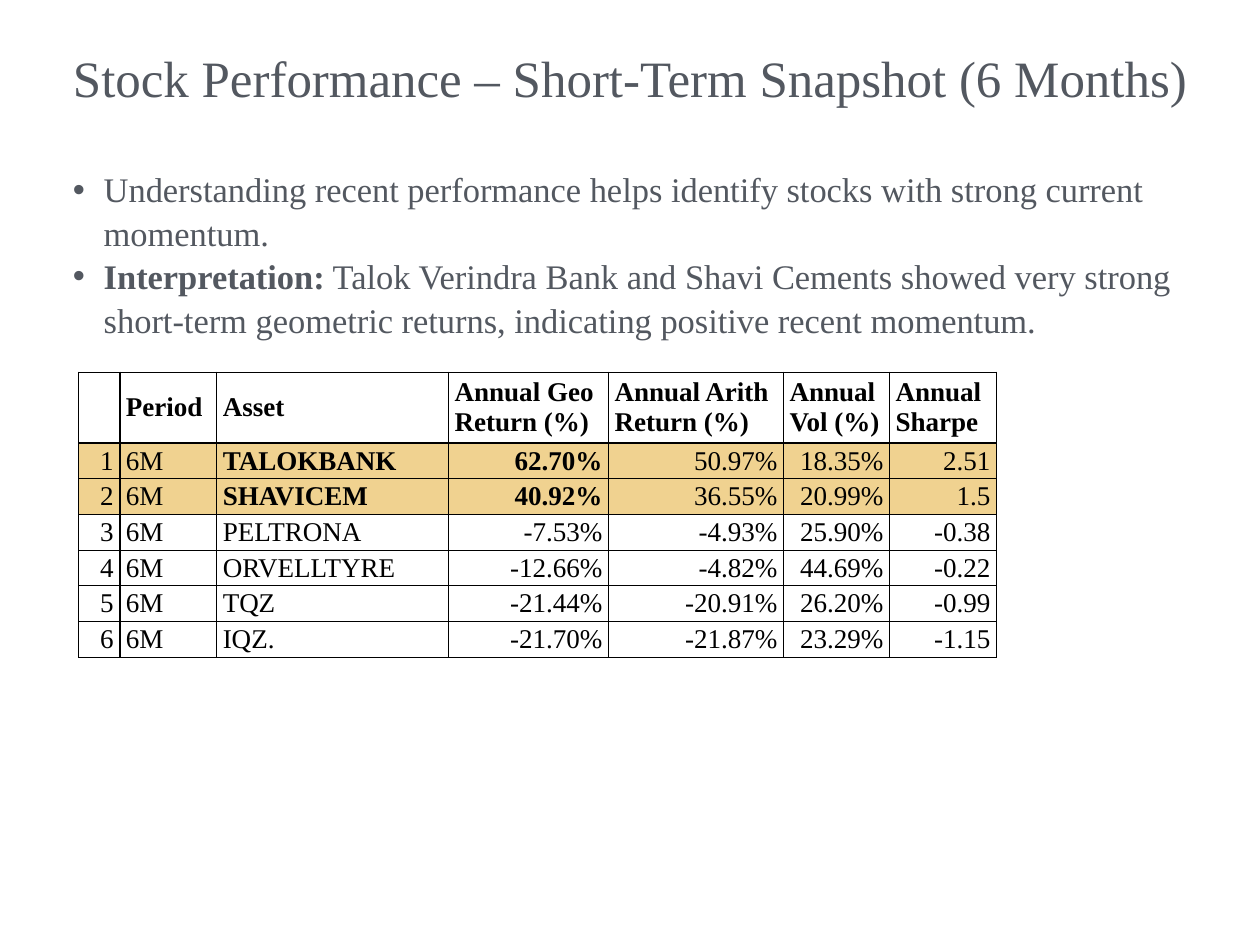
from lxml.etree import SubElement
from pptx import Presentation
from pptx.dml.color import RGBColor
from pptx.enum.text import MSO_ANCHOR, PP_ALIGN
from pptx.oxml.ns import qn
from pptx.util import Pt

INK, BLACK, WHITE, GOLD = "535860", "000000", "FFFFFF", "F0D290"
TITLE = "Stock Performance – Short-Term Snapshot (6 Months)"
POINTS = [
    [("Understanding recent performance helps identify stocks with strong "
      "current momentum.", False)],
    [("Interpretation:", True),
     (" Talok Verindra Bank and Shavi Cements showed very strong short-term "
      "geometric returns, indicating positive recent momentum.", False)],
]
HEADINGS = ["", "Period", "Asset", "Annual Geo Return (%)",
            "Annual Arith Return (%)", "Annual Vol (%)", "Annual Sharpe"]
RETURNS = [
    ("TALOKBANK", "62.70%", "50.97%", "18.35%", "2.51"),
    ("SHAVICEM", "40.92%", "36.55%", "20.99%", "1.5"),
    ("PELTRONA", "-7.53%", "-4.93%", "25.90%", "-0.38"),
    ("ORVELLTYRE", "-12.66%", "-4.82%", "44.69%", "-0.22"),
    ("TQZ", "-21.44%", "-20.91%", "26.20%", "-0.99"),
    ("IQZ.", "-21.70%", "-21.87%", "23.29%", "-1.15"),
]
COLUMN_WIDTHS = [33.3, 78.8, 188.5, 130, 142.2, 86.2, 87]
ROW_HEIGHTS = [57.6] + [29] * len(RETURNS)
LEADERS = 2  # highlighted rows below the header


def color(value):
    return RGBColor.from_string(value)


def add_text(paragraph, text, size=28, ink=INK, bold=False,
             font="Times New Roman"):
    run = paragraph.add_run()
    run.text = text
    run.font.name = font
    run.font.size = Pt(size)
    run.font.bold = bold
    run.font.color.rgb = color(ink)


class SlideBuilder:
    inset = 4.3
    line_spacing = 1.05
    bullet_indent = 25

    def __init__(self, slide):
        self.slide = slide

    def text_box(self, left, top, width, height):
        frame = self.slide.shapes.add_textbox(
            Pt(left), Pt(top), Pt(width), Pt(height)).text_frame
        frame.word_wrap = True
        frame.margin_left = frame.margin_top = Pt(self.inset)
        frame.margin_right = frame.margin_bottom = Pt(0)
        return frame

    def title(self, text, *place):
        heading = self.text_box(*place).paragraphs[0]
        heading.line_spacing = self.line_spacing
        add_text(heading, text, size=41.4)

    def bullets(self, points, *place):
        frame = self.text_box(*place)
        for index, parts in enumerate(points):
            point = frame.add_paragraph() if index else frame.paragraphs[0]
            point.line_spacing = self.line_spacing
            properties = point._p.get_or_add_pPr()
            properties.set("marL", str(Pt(self.bullet_indent)))
            properties.set("indent", str(-Pt(self.bullet_indent)))
            SubElement(properties, qn("a:buFont"), typeface="Arial")
            SubElement(properties, qn("a:buChar"), char="•")
            for text, bold in parts:
                add_text(point, text, bold=bold)

    def borders(self, cell, **widths):
        properties = cell._tc.get_or_add_tcPr()
        for side in "LRTB":
            line = SubElement(properties, qn(f"a:ln{side}"),
                              w=str(Pt(widths.get(side, 1))))
            fill = SubElement(line, qn("a:solidFill"))
            SubElement(fill, qn("a:srgbClr"), val=BLACK)

    def cell(self, cell, text, fill, bold, align, **widths):
        self.borders(cell, **widths)
        cell.fill.solid()
        cell.fill.fore_color.rgb = color(fill)
        cell.margin_left = cell.margin_right = Pt(5)
        cell.margin_top = cell.margin_bottom = Pt(0)
        cell.vertical_anchor = MSO_ANCHOR.MIDDLE
        paragraph = cell.text_frame.paragraphs[0]
        paragraph.alignment = align
        if text:
            add_text(paragraph, text, size=22, ink=BLACK, bold=bold)

    def table(self, rows, left, top):
        table = self.slide.shapes.add_table(
            len(rows), len(COLUMN_WIDTHS), Pt(left), Pt(top),
            Pt(sum(COLUMN_WIDTHS)), Pt(sum(ROW_HEIGHTS))).table
        table.horz_banding = False
        for column, width in zip(table.columns, COLUMN_WIDTHS):
            column.width = Pt(width)
        for row, height in zip(table.rows, ROW_HEIGHTS):
            row.height = Pt(height)
        for r, values in enumerate(rows):
            leader = 1 <= r <= LEADERS
            for c, text in enumerate(values):
                numeric = r > 0 and c not in (1, 2)
                self.cell(
                    table.cell(r, c), text,
                    fill=GOLD if leader else WHITE,
                    bold=r == 0 or (leader and c in (2, 3)),
                    align=PP_ALIGN.RIGHT if numeric else PP_ALIGN.LEFT,
                    # Heavy rules set off the header row and number column
                    L=2 if c == 1 else 1, R=2 if c == 0 else 1,
                    T=2 if r == 1 else 1, B=2 if r == 0 else 1)


def main():
    deck = Presentation()
    deck.slide_width, deck.slide_height = Pt(1024), Pt(768)
    builder = SlideBuilder(deck.slides.add_slide(deck.slide_layouts[6]))

    # Heading and commentary
    builder.title(TITLE, 55, 31, 916, 90)
    builder.bullets(POINTS, 55, 131, 910, 150)

    # Six-month returns, numbered by rank
    ranked = [(str(rank), "6M", *values)
              for rank, values in enumerate(RETURNS, 1)]
    builder.table([HEADINGS] + ranked, 64, 302.5)

    deck.save("out.pptx")


if __name__ == "__main__":
    main()
